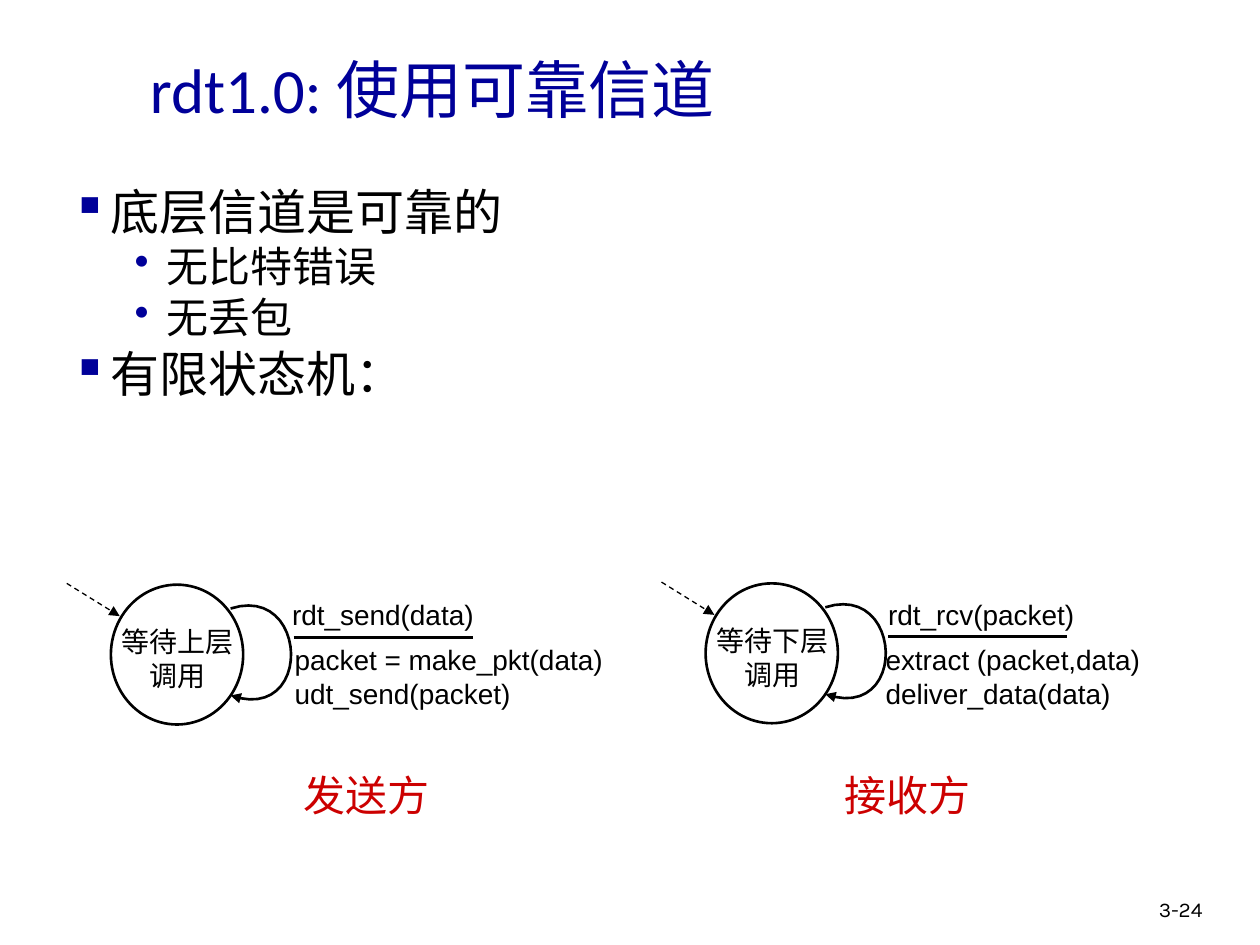
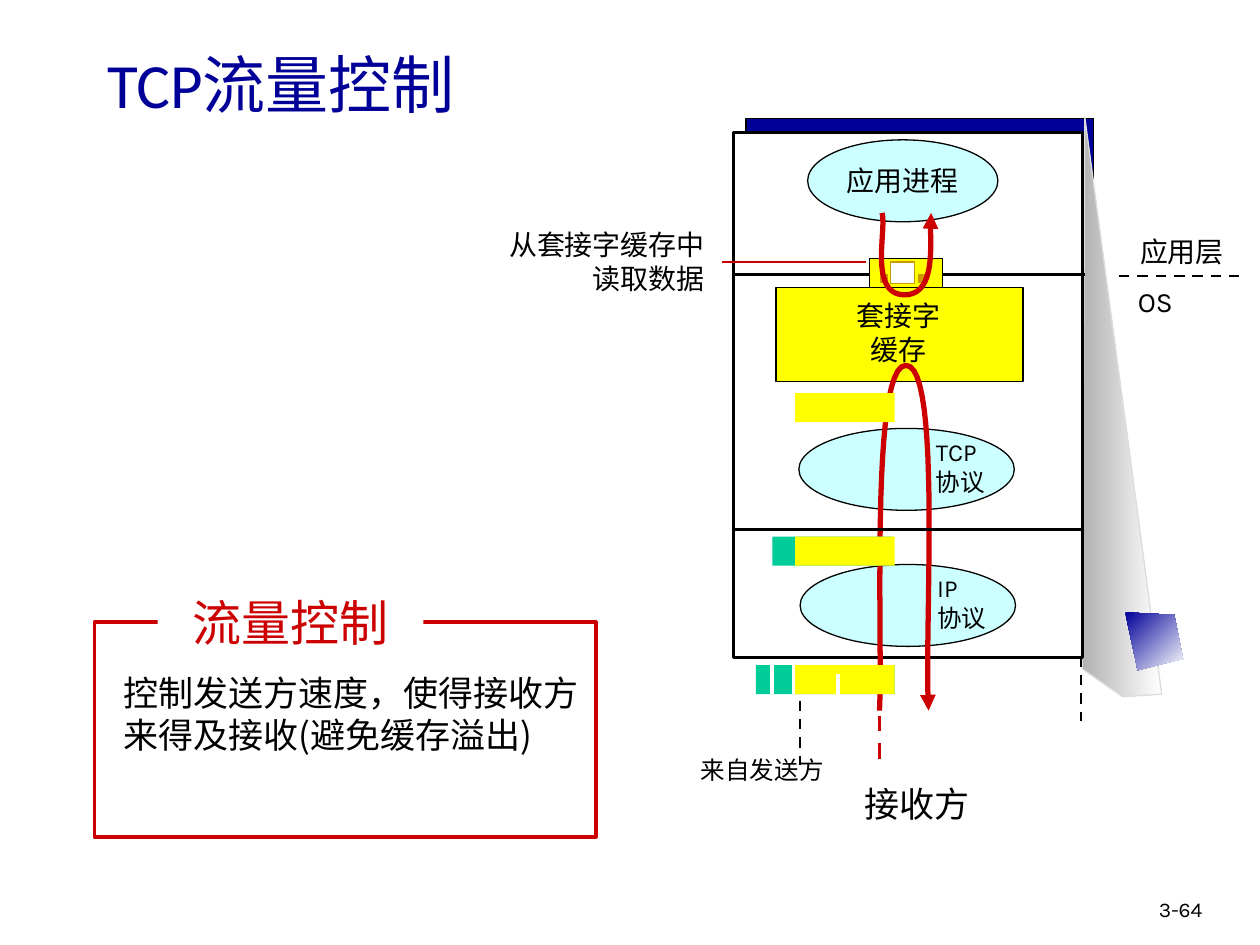
from lxml import etree
from pptx import Presentation
from pptx.dml.color import RGBColor
from pptx.enum.dml import MSO_LINE
from pptx.enum.shapes import MSO_CONNECTOR, MSO_SHAPE
from pptx.enum.text import MSO_ANCHOR, PP_ALIGN
from pptx.oxml.ns import qn
from pptx.util import Pt

PX = 9144
RECTANGLE = MSO_SHAPE.RECTANGLE
OVAL = MSO_SHAPE.OVAL
STRAIGHT = MSO_CONNECTOR.STRAIGHT
DASH = MSO_LINE.DASH
MIDDLE = MSO_ANCHOR.MIDDLE
LEFT, CENTER, RIGHT = PP_ALIGN.LEFT, PP_ALIGN.CENTER, PP_ALIGN.RIGHT

NAVY, RED, BLACK, WHITE = "000099", "CC0000", "000000", "FFFFFF"
YELLOW, GREEN, CYAN, GOLD = "FFFF00", "00CC99", "CCFFFF", "CC9900"
CJK, LATIN, CODE, NUMBER = "Noto Sans CJK SC", "Calibri", "Arial", "Karla"


def rgb(color):
    return RGBColor.from_string(color)


def px(*lengths):
    return [round(length * PX) for length in lengths]


def bezier(points, steps=24):
    curve = [points[0]]
    for first in range(0, len(points) - 1, 3):
        a, b, c, d = points[first:first + 4]
        for step in range(1, steps + 1):
            t = step / steps
            u = 1 - t
            curve.append(tuple(
                u**3 * a[i] + 3 * u * u * t * b[i] + 3 * u * t * t * c[i] + t**3 * d[i]
                for i in (0, 1)))
    return curve


class Deck:
    def __init__(self):
        self.presentation = Presentation()
        self.presentation.slide_width, self.presentation.slide_height = px(1000, 750)
        self.slide = None

    def new_slide(self, box, title_runs, number):
        self.slide = self.presentation.slides.add_slide(self.presentation.slide_layouts[5])
        title = self.slide.shapes.title
        title.left, title.top, title.width, title.height = px(*box)
        title.text_frame.vertical_anchor = MIDDLE
        paragraph = title.text_frame.paragraphs[0]
        paragraph.alignment = LEFT
        for text, font in title_runs:
            run = paragraph.add_run()
            run.text = text
            self.format_run(run, 36, NAVY, font)
        self.text((910, 707, 74, 30), number, 12, font=NUMBER)

    def format_run(self, run, size, color, font):
        run.font.size = Pt(size)
        run.font.color.rgb = rgb(color)
        run.font.name = font
        east_asian = etree.Element(qn("a:ea"), typeface=CJK)
        run.font._element.find(qn("a:latin")).addnext(east_asian)

    def fill_text(self, text_frame, text, size, color, font, align, wrap):
        text_frame.text = text
        text_frame.word_wrap = wrap
        for paragraph in text_frame.paragraphs:
            paragraph.alignment = align
            for run in paragraph.runs:
                self.format_run(run, size, color, font)

    def text(self, box, text, size, color=BLACK, font=CJK, align=LEFT, wrap=None):
        shape = self.slide.shapes.add_textbox(*px(*box))
        wrap = align != CENTER if wrap is None else wrap
        self.fill_text(shape.text_frame, text, size, color, font, align, wrap)

    def bullets(self, box, items):
        shape = self.slide.shapes.add_textbox(*px(*box))
        text_frame = shape.text_frame
        self.fill_text(text_frame, "\n".join(text for _, text in items),
                       28, BLACK, LATIN, LEFT, True)
        styles = [(28, 31, 31, "▪"), (24, 75, 25, "•")]
        for index, paragraph in enumerate(text_frame.paragraphs):
            level = items[index][0]
            size, margin, hanging, mark = styles[level]
            properties = paragraph._p.get_or_add_pPr()
            margin, hanging = px(margin, hanging)
            properties.set("marL", str(margin))
            properties.set("indent", str(-hanging))
            bullet_color = etree.SubElement(properties, qn("a:buClr"))
            etree.SubElement(bullet_color, qn("a:srgbClr"), val=NAVY)
            etree.SubElement(properties, qn("a:buChar"), char=mark)
            paragraph.level = level
            paragraph.line_spacing = 0.85
            paragraph.space_before = Pt(size * 0.2 if index else 0)
            paragraph.runs[0].font.size = Pt(size)

    def stroke(self, shape, color, width, dash=None, arrow=None):
        if color is None:
            shape.line.fill.background()
            return
        shape.line.color.rgb = rgb(color)
        shape.line.width = Pt(width)
        if dash:
            shape.line.dash_style = dash
        if arrow:
            outline = shape.element.spPr.find(qn("a:ln"))
            etree.SubElement(outline, qn("a:" + arrow), type="triangle")

    def shape(self, kind, box, fill, line=None, width=0.75, text=None):
        shape = self.slide.shapes.add_shape(kind, *px(*box))
        shape.shadow.inherit = False
        shape.fill.solid()
        shape.fill.fore_color.rgb = rgb(fill)
        self.stroke(shape, line, width)
        if text:
            shape.text_frame.vertical_anchor = MIDDLE
            self.fill_text(shape.text_frame, text, 16, BLACK, CJK, CENTER, False)

    def line(self, start, end, color=BLACK, width=1.5, dash=None, arrow=None):
        connector = self.slide.shapes.add_connector(STRAIGHT, *px(*start, *end))
        self.stroke(connector, color, width, dash, arrow)
        etree.SubElement(connector.element.spPr, qn("a:effectLst"))

    def outline(self, points, closed):
        points = [px(*point) for point in points]
        builder = self.slide.shapes.build_freeform(*points[0], scale=1.0)
        builder.add_line_segments(points[1:], close=closed)
        shape = builder.convert_to_shape()
        shape.shadow.inherit = False
        return shape

    def curve(self, points, color, width, arrow):
        shape = self.outline(bezier(points), False)
        shape.fill.background()
        self.stroke(shape, color, width, arrow=arrow)

    def gradient(self, points, start_color, angle, line=None):
        shape = self.outline(points, True)
        shape.fill.gradient()
        shape.fill.gradient_angle = angle
        for stop, color in zip(shape.fill.gradient_stops, (start_color, WHITE)):
            stop.color.rgb = rgb(color)
        self.stroke(shape, line, 0.75)

    def state_machine(self, left, top, state, state_font, event, event_left,
                      actions, actions_left, role, role_left):
        self.shape(OVAL, (left, top, 105, 111), WHITE, BLACK, 1.5)
        self.text((left - 7, top + 27, 120, 100), state, 16,
                  font=state_font, align=CENTER, wrap=True)
        loop = [(95, 19), (157, -1), (161, 111), (95, 88)]
        self.curve([(left + x, top + y) for x, y in loop], BLACK, 1.5, "tailEnd")
        self.text((actions_left, 505, 293, 65), actions, 16, font=CODE)
        self.text((event_left, 469, 247, 47), event, 16, font=CODE)
        self.line((left + 145, top + 42), (left + 287, top + 42))
        self.line((left - 35, top - 1), (left + 7, top + 25),
                  width=0.75, dash=DASH, arrow="tailEnd")
        self.text((role_left, 606, 121, 50), role, 24, RED, align=CENTER)


def build_reliable_channel(deck):
    deck.new_slide((109, 15, 875, 110), [("rdt1.0: ", LATIN), ("使用可靠信道", CJK)], "3-24")
    deck.bullets((47, 146, 864, 330), [
        (0, "底层信道是可靠的"), (1, "无比特错误"), (1, "无丢包"), (0, "有限状态机：")])
    deck.state_machine(88, 464, "等待上层调用", CODE, "rdt_send(data)", 222,
                       "packet = make_pkt(data)\nudt_send(packet)", 224, "发送方", 230)
    deck.state_machine(560, 463, "等待下层调用", "Times New Roman", "rdt_rcv(packet)", 695,
                       "extract (packet,data)\ndeliver_data(data)", 693, "接收方", 660)


def build_flow_control(deck):
    deck.new_slide((75, 13, 850, 107), [("TCP", LATIN), ("流量控制", CJK)], "3-64")

    deck.shape(RECTANGLE, (592, 94, 276, 422), NAVY, BLACK)
    deck.gradient([(922, 551), (861, 93), (859, 531), (891, 553)], "B2B2B2", 0, "DDDDDD")
    deck.shape(RECTANGLE, (582, 105, 277, 417), WHITE, BLACK, 1.5)
    deck.shape(OVAL, (641, 111, 151, 65), CYAN, BLACK, text="应用进程")
    deck.shape(RECTANGLE, (616, 228, 196, 75), YELLOW, BLACK)
    deck.text((669, 232, 88, 64), "套接字\n缓存", 16, font=CODE, align=CENTER)
    for protocol, left, top in (("TCP", 634, 340), ("IP", 635, 448)):
        deck.shape(OVAL, (left, top, 171, 65), CYAN, BLACK)
        deck.text((left + 99, top + 2, 70, 57), protocol + "\n协议", 14, font=NUMBER)

    deck.curve([(698, 564), (701, 518), (690, 290), (719, 290),
                (748, 290), (733, 507), (737, 564)], RED, 3, "tailEnd")
    deck.line((582, 420), (860, 420))
    deck.line((583, 218), (861, 218))
    deck.shape(RECTANGLE, (690, 205, 58, 23), YELLOW, BLACK)
    deck.shape(RECTANGLE, (707, 208, 19, 17), WHITE, GOLD)
    for left in (729, 699):
        deck.shape(RECTANGLE, (left, 218, 5, 6), GOLD, GOLD)
    deck.curve([(739, 169), (736, 180), (747, 234), (718, 234),
                (689, 234), (704, 182), (700, 169)], RED, 3, "headEnd")

    deck.shape(RECTANGLE, (600, 528, 110, 23), GREEN)
    for x in (613, 630):
        deck.line((x, 528), (x, 551), WHITE, 2.25)
    deck.shape(RECTANGLE, (613, 426, 96, 23), GREEN)
    for top in (312, 426, 528):
        deck.shape(RECTANGLE, (631, top, 79, 23), YELLOW)
    deck.line((665, 535), (665, 557), WHITE, 2.25)

    deck.text((894, 181, 88, 37), "应用层", 16, align=CENTER)
    deck.text((893, 221, 48, 37), "OS", 16, font=NUMBER, align=CENTER)
    deck.line((888, 219), (983, 219), dash=DASH)
    deck.text((676, 616, 104, 44), "接收方", 20, font=NUMBER, align=CENTER)
    deck.text((220, 176, 349, 64), "从套接字缓存中\n读取数据", 16, align=RIGHT)
    deck.line((573, 208), (687, 208), RED)
    deck.line((698, 568), (698, 606), RED, 2.25, DASH)
    deck.text((546, 594, 118, 34), "来自发送方", 14, align=CENTER)
    for x, top in ((635, 556), (858, 521)):
        deck.line((x, top), (x, top + 51), dash=DASH)
    deck.gradient([(893, 486), (932, 488), (939, 523), (903, 532)], NAVY, 315)

    deck.shape(RECTANGLE, (75, 494, 398, 170), WHITE, RED, 2.25)
    deck.text((88, 528, 393, 77), "控制发送方速度，使得接收方来得及接收(避免缓存溢出)", 20)
    deck.shape(RECTANGLE, (125, 482, 211, 39), WHITE)
    deck.text((142, 465, 177, 57), "流量控制", 28, RED, align=CENTER)


def main():
    deck = Deck()
    build_reliable_channel(deck)
    build_flow_control(deck)
    deck.presentation.save("out.pptx")


if __name__ == "__main__":
    main()
